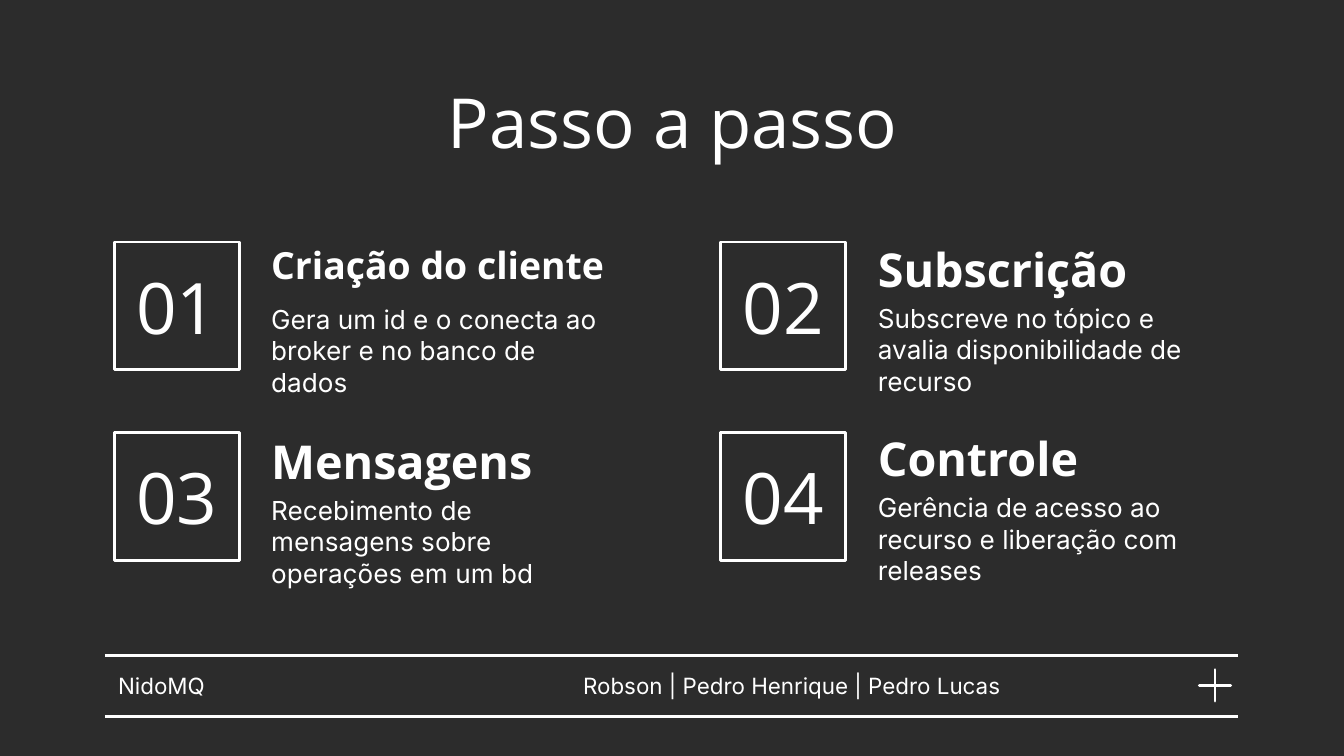
from lxml.etree import SubElement
from pptx import Presentation
from pptx.dml.color import RGBColor
from pptx.enum.shapes import MSO_CONNECTOR, MSO_SHAPE
from pptx.enum.text import MSO_ANCHOR, MSO_AUTO_SIZE, PP_ALIGN
from pptx.oxml.ns import qn
from pptx.util import Pt


def color(hex_value):
    return RGBColor.from_string(hex_value)


class SlideBuilder:
    INK = "FFFFFF"
    BACKGROUND = "2C2C2C"
    HEADING_FONT = "Open Sans"
    BODY_FONT = "Inter"
    LINE_WIDTH = 1.5
    INSET = 7.2

    def __init__(self, slide):
        self.slide = slide
        fill = slide.background.fill
        fill.solid()
        fill.fore_color.rgb = color(self.BACKGROUND)

    def fill_text(self, holder, text, font, align=PP_ALIGN.LEFT,
                  anchor=MSO_ANCHOR.TOP):
        frame = holder.text_frame
        frame_format = {
            "word_wrap": True,
            "auto_size": MSO_AUTO_SIZE.NONE,
            "vertical_anchor": anchor,
            **{f"margin_{side}": Pt(self.INSET)
               for side in ("left", "top", "right", "bottom")},
        }
        for name, value in frame_format.items():
            setattr(frame, name, value)
        paragraph = frame.paragraphs[0]
        paragraph.alignment = align
        run = paragraph.add_run()
        run.text = text
        for name, value in font.items():
            setattr(run.font, name, value)
        run.font.color.rgb = color(self.INK)

    def title(self, text, left, top, width, height, font):
        title = self.slide.shapes.title
        place = {"left": left, "top": top, "width": width, "height": height}
        for name, value in place.items():
            setattr(title, name, Pt(value))
        self.fill_text(title, text, font, PP_ALIGN.CENTER)

    def text(self, text, left, top, width, height, font, **layout):
        box = self.slide.shapes.add_textbox(Pt(left), Pt(top), Pt(width), Pt(height))
        self.fill_text(box, text, font, **layout)

    def outline(self, preset, left, top, width, height):
        """Add an unfilled preset shape."""
        shape = self.slide.shapes.add_shape(
            preset, Pt(left), Pt(top), Pt(width), Pt(height))
        shape.shadow.inherit = False
        shape.fill.background()
        self.stroke(shape)
        return shape

    def rule(self, left, right, y):
        """Add a horizontal line."""
        line = self.slide.shapes.add_connector(
            MSO_CONNECTOR.STRAIGHT, Pt(left), Pt(y), Pt(right), Pt(y))
        self.stroke(line)
        SubElement(line._element.spPr, qn("a:effectLst"))

    def stroke(self, shape):
        shape.line.color.rgb = color(self.INK)
        shape.line.width = Pt(self.LINE_WIDTH)


def main():
    prs = Presentation()
    prs.slide_width, prs.slide_height = Pt(720), Pt(405)
    builder = SlideBuilder(prs.slides.add_slide(prs.slide_layouts[5]))

    heading_font = {"name": builder.HEADING_FONT, "bold": True}
    number_font = {"name": builder.HEADING_FONT, "size": Pt(38)}
    title_font = {"name": builder.HEADING_FONT, "size": Pt(37)}
    body_font = {"name": builder.BODY_FONT, "size": Pt(14)}
    footer_font = {"name": builder.BODY_FONT, "size": Pt(12)}

    # Footer
    for y in (351.4, 383.8):
        builder.rule(56.2, 663.1, y)
    plus = builder.outline(MSO_SHAPE.MATH_PLUS, 639.4, 355.7, 23, 23)
    plus.adjustments[0] = 0
    for text, left, width in (
        ("NidoMQ", 56.2, 176.4),
        ("Robson | Pedro Henrique | Pedro Lucas", 305.3, 247),
    ):
        builder.text(text, left, 355, width, 24.5, footer_font,
                     anchor=MSO_ANCHOR.MIDDLE)

    builder.title("Passo a passo", 56.9, 35.3, 607, 45.4, title_font)

    # Steps: heading, heading size, heading top, description
    steps = (
        ("Criação do cliente", 20, 122.4,
         "Gera um id e o conecta ao broker e no banco de dados"),
        ("Subscrição", 25, 121.7,
         "Subscreve no tópico e avalia disponibilidade de recurso"),
        ("Mensagens", 25, 224.6,
         "Recebimento de mensagens sobre operações em um bd"),
        ("Controle", 25, 223.2,
         "Gerência de acesso ao recurso e liberação com releases"),
    )
    frame_width, frame_height = 67, 68.4
    number_width, number_height = 62, 46.8
    text_width, heading_height, body_height = 195.1, 33, 38.2
    for index, (heading, size, heading_top, description) in enumerate(steps):
        row, column = divmod(index, 2)
        left = 61.2 + column * 325
        top = 129.6 + row * 102.2
        text_left = left + 77
        builder.outline(MSO_SHAPE.RECTANGLE, left, top, frame_width, frame_height)
        builder.text(f"{index + 1:02}",
                     left + (frame_width - number_width) / 2,
                     top + (frame_height - number_height) / 2,
                     number_width, number_height, number_font,
                     align=PP_ALIGN.CENTER, anchor=MSO_ANCHOR.MIDDLE)
        builder.text(description, text_left, heading_top + heading_height,
                     text_width, body_height, body_font)
        builder.text(heading, text_left, heading_top, text_width, heading_height,
                     {**heading_font, "size": Pt(size)})

    prs.save("out.pptx")


if __name__ == "__main__":
    main()
